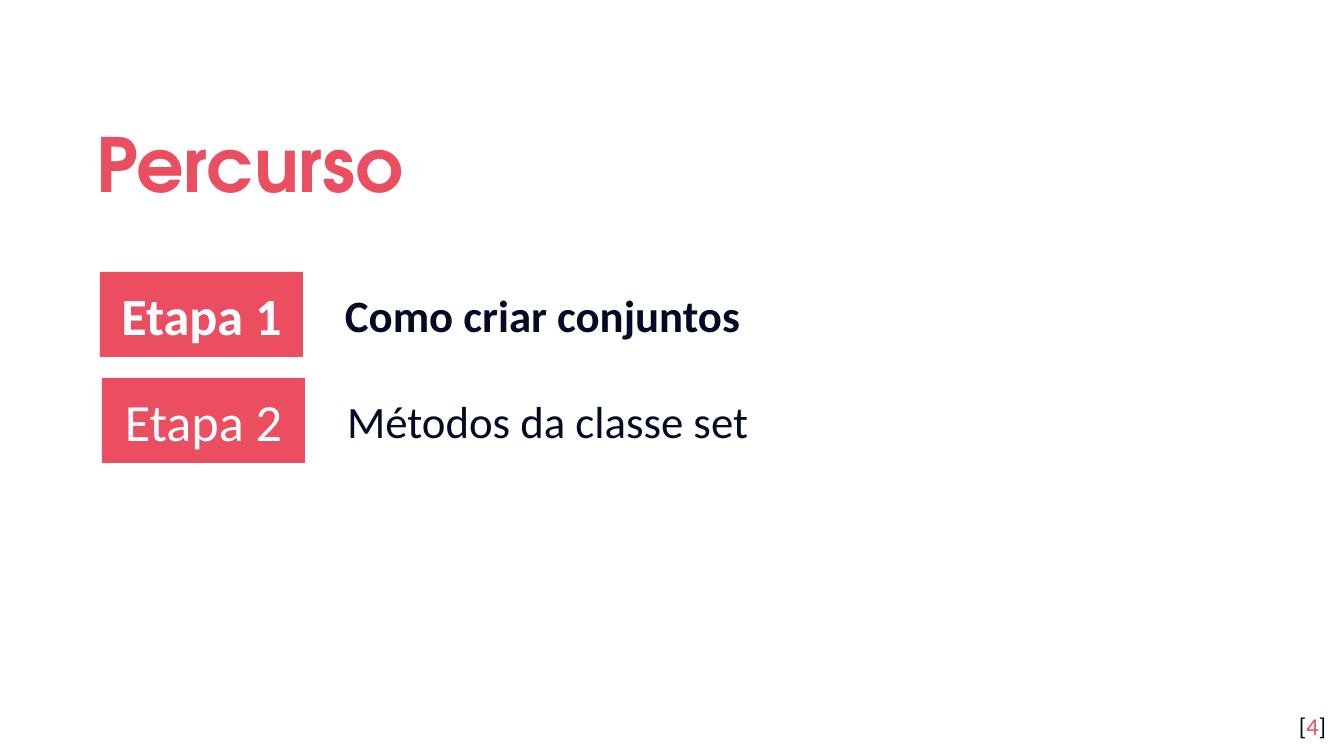
import pptx
import pptx.dml.color
import pptx.enum.shapes
import pptx.enum.text
import pptx.util

PX = 914400 / 134.4
RED, NAVY, WHITE = "EA4E60", "040A24", "FFFFFF"
ALIGN = pptx.enum.text.PP_ALIGN
ANCHOR = pptx.enum.text.MSO_ANCHOR


def px(*lengths):
    """Turn pixel lengths into a list of EMU."""
    return [pptx.util.Emu(round(n * PX)) for n in lengths]


def write(sp, *runs, size, font="Calibri", bold=False, align=ALIGN.LEFT,
          anchor=ANCHOR.TOP, inset=13, spacing=1.0):
    """Fill a shape with one paragraph of (text, colour) runs."""
    tf = sp.text_frame
    tf.word_wrap = True
    tf.auto_size = pptx.enum.text.MSO_AUTO_SIZE.NONE
    tf.vertical_anchor = anchor
    tf.margin_left, tf.margin_right = px(13, 13)
    tf.margin_top, tf.margin_bottom = px(inset, inset)
    p = tf.paragraphs[0]
    p.alignment = align
    p.line_spacing = spacing
    for text, color in runs:
        r = p.add_run()
        r.text = text
        r.font.name = font
        r.font.size = pptx.util.Pt(size)
        r.font.bold = bold
        r.font.color.rgb = pptx.dml.color.RGBColor.from_string(color)


prs = pptx.Presentation()
prs.slide_width, prs.slide_height = px(1344, 756)
s = prs.slides.add_slide(prs.slide_layouts[5])

title = s.shapes.title
title.left, title.top, title.width, title.height = px(83, 94, 1089, 124)
write(title, ("Percurso", RED), size=40, font="TeX Gyre Adventor", bold=True,
      anchor=ANCHOR.MIDDLE, spacing=1.15)

page = s.shapes.add_textbox(*px(1258, 698, 81, 58))
write(page, ("[", NAVY), ("4", RED), ("]", NAVY), size=13, align=ALIGN.RIGHT)

steps = [("Etapa 1", "Como criar conjuntos", True),
         ("Etapa 2", "Métodos da classe set", False)]
for i, (label, topic, current) in enumerate(steps):
    left, top = 100 + 2 * i, 272 + 106 * i
    tag = s.shapes.add_shape(pptx.enum.shapes.MSO_SHAPE.RECTANGLE,
                             *px(left, top, 203, 85))
    tag.shadow.inherit = False
    tag.fill.solid()
    tag.fill.fore_color.rgb = pptx.dml.color.RGBColor.from_string(RED)
    tag.line.fill.background()
    write(tag, (label, WHITE), size=28, bold=current, align=ALIGN.CENTER,
          anchor=ANCHOR.MIDDLE)
    box = s.shapes.add_textbox(*px(left + 232, top + 9, 907, 67))
    write(box, (topic, NAVY), size=24, bold=current, inset=7)

prs.save("out.pptx")
